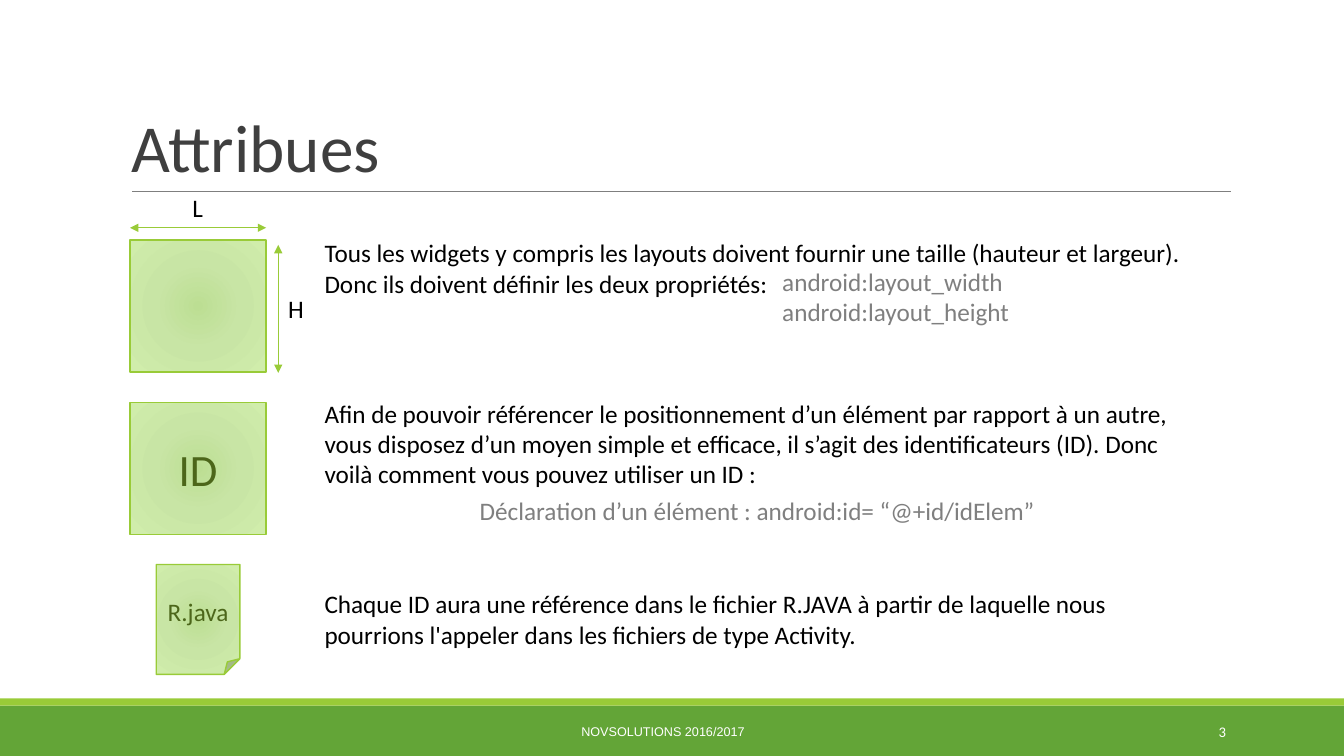
"""Build the slide on widget attributes: size, ID and R.java."""
from pptx import Presentation
from pptx.dml.color import RGBColor
from pptx.enum.shapes import MSO_CONNECTOR as CONN, MSO_SHAPE as SHAPE
from pptx.enum.text import MSO_ANCHOR as ANCHOR, MSO_AUTO_SIZE as AUTO, PP_ALIGN as ALIGN
from pptx.oxml import parse_xml
from pptx.oxml.ns import nsdecls
from pptx.util import Inches, Pt

GREEN = RGBColor(0x63, 0xA5, 0x37)
LIME = RGBColor(0x99, 0xCB, 0x38)
OLIVE = RGBColor(0x4C, 0x66, 0x1A)
BLACK = RGBColor(0, 0, 0)
DARK = RGBColor(0x3F, 0x3F, 0x3F)
GRAY = RGBColor(0x7F, 0x7F, 0x7F)
WHITE = RGBColor(0xFF, 0xFF, 0xFF)
GLOW = [(0, "BCDE93"), (45, "C8E5A5"), (100, "D0EDAB")]

W, H = 13.33, 7.5
ICON_X, ICON_W, ICON_H = 1.29, 1.35, 1.31
SIZE_Y, ID_Y, FILE_Y = 2.38, 3.99, 5.6
TEXT_X = 3.12
ICON_MID = ICON_X + ICON_W / 2
FOLD_W = 0.83
ARROW_X, ARROW_Y = 2.76, 2.26
BAND_Y, STRIPE_H = 7, 0.07
FOOT_Y, FOOT_H = 7.06, 0.4

prs = Presentation()
prs.slide_width, prs.slide_height = Inches(W), Inches(H)
s = prs.slides.add_slide(prs.slide_layouts[5])


def write(sp, text, size=18, color=BLACK, font="Calibri", align=ALIGN.LEFT,
          anchor=ANCHOR.TOP, spacing=None):
    tf = sp.text_frame
    tf.word_wrap, tf.auto_size, tf.vertical_anchor = True, AUTO.NONE, anchor
    tf.margin_left = tf.margin_right = Inches(0.1)
    tf.margin_top = tf.margin_bottom = Inches(0.05)
    for i, line in enumerate(text.split("\n")):
        p = tf.add_paragraph() if i else tf.paragraphs[0]
        p.alignment, p.line_spacing = align, spacing
        r = p.add_run()
        r.text = line
        r.font.size, r.font.name = Pt(size), font
        r.font.color.rgb = color


def add_block(kind, x, y, w, h, color=None):
    sp = s.shapes.add_shape(kind, *map(Inches, (x, y, w, h)))
    sp.shadow.inherit = False
    if color is not None:
        sp.fill.solid()
        sp.fill.fore_color.rgb = color
        sp.line.fill.background()
        return sp
    sp.line.color.rgb, sp.line.width = LIME, Pt(1)
    sp.fill.background()
    stops = "".join(f'<a:gs pos="{pos * 1000}"><a:srgbClr val="{rgb}"/></a:gs>'
                    for pos, rgb in GLOW)
    glow = parse_xml(
        f'<a:gradFill {nsdecls("a")} rotWithShape="1"><a:gsLst>{stops}</a:gsLst>'
        '<a:path path="circle"><a:fillToRect l="50000" t="50000" r="50000" b="50000"/>'
        '</a:path></a:gradFill>')
    spPr = sp._element.spPr
    spPr.replace(spPr.find("{*}noFill"), glow)
    return sp


add_block(SHAPE.RECTANGLE, 0, BAND_Y, W, H - BAND_Y, GREEN)
add_block(SHAPE.RECTANGLE, 0, BAND_Y - STRIPE_H, W, STRIPE_H, LIME)

title = s.shapes.title
title.left, title.top, title.width, title.height = map(Inches, (1.2, 0.31, 11, 1.59))
write(title, "Attribues", size=48, color=DARK, anchor=ANCHOR.BOTTOM, spacing=0.85)

add_block(SHAPE.RECTANGLE, ICON_X, SIZE_Y, ICON_W, ICON_H)
id_box = add_block(SHAPE.RECTANGLE, ICON_X, ID_Y, ICON_W, ICON_H)
write(id_box, "ID", size=32, color=OLIVE, align=ALIGN.CENTER, anchor=ANCHOR.MIDDLE)
r_file = add_block(SHAPE.FOLDED_CORNER, ICON_MID - FOLD_W / 2, FILE_Y, FOLD_W, 1.09)
r_file._element.spPr.find(".//{*}avLst").append(
    parse_xml(f'<a:gd {nsdecls("a")} name="adj" fmla="val 18700"/>'))
write(r_file, "R.java", color=OLIVE, align=ALIGN.CENTER, anchor=ANCHOR.MIDDLE)

for ends, color, width, arrows in [
    ((1.31, 1.9, 12.21, 1.9), GRAY, 0.75, False),
    ((ICON_X, ARROW_Y, ICON_X + ICON_W, ARROW_Y), LIME, 1, True),
    ((ARROW_X, 2.43, ARROW_X, 3.7), LIME, 1, True),
]:
    line = s.shapes.add_connector(CONN.STRAIGHT, *map(Inches, ends))
    line.line.color.rgb, line.line.width = color, Pt(width)
    if arrows:
        for tag in ("headEnd", "tailEnd"):
            line.line._get_or_add_ln().append(
                parse_xml(f'<a:{tag} {nsdecls("a")} type="triangle"/>'))
    line._element.spPr.append(parse_xml(f'<a:effectLst {nsdecls("a")}/>'))

for x, y, w, h, text, style in [
    (1.81, 1.86, 0.31, 0.4, "L", {}),
    (ARROW_X, 2.86, 0.36, 0.4, "H", {}),
    (TEXT_X, 2.31, 9.08, 0.71,
     "Tous les widgets y compris les layouts doivent fournir une taille (hauteur et "
     "largeur). Donc ils doivent définir les deux propriétés:", {}),
    (7.66, 2.59, 4.09, 0.71, "android:layout_width\nandroid:layout_height", {"color": GRAY}),
    (TEXT_X, 3.9, 8.98, 1.01,
     "Afin de pouvoir référencer le positionnement d’un élément par rapport à un autre, "
     "vous disposez d’un moyen simple et efficace, il s’agit des identificateurs (ID). "
     "Donc voilà comment vous pouvez utiliser un ID :", {}),
    (4.66, 4.86, 6.67, 0.71, "Déclaration d’un élément : android:id= “@+id/idElem”",
     {"color": GRAY}),
    (TEXT_X, 5.79, 8.08, 0.71,
     "Chaque ID aura une référence dans le fichier R.JAVA à partir de laquelle nous "
     "pourrions l'appeler dans les fichiers de type Activity.", {}),
    (3.94, FOOT_Y, 5.27, FOOT_H, "NOVSOLUTIONS 2016/2017",
     {"size": 9, "font": "Arial", "color": WHITE, "align": ALIGN.CENTER,
      "anchor": ANCHOR.MIDDLE}),
    (10.83, FOOT_Y, 1.43, FOOT_H, "3",
     {"size": 10.5, "color": WHITE, "align": ALIGN.RIGHT, "anchor": ANCHOR.MIDDLE}),
]:
    write(s.shapes.add_textbox(*map(Inches, (x, y, w, h))), text, **style)

prs.save("out.pptx")
